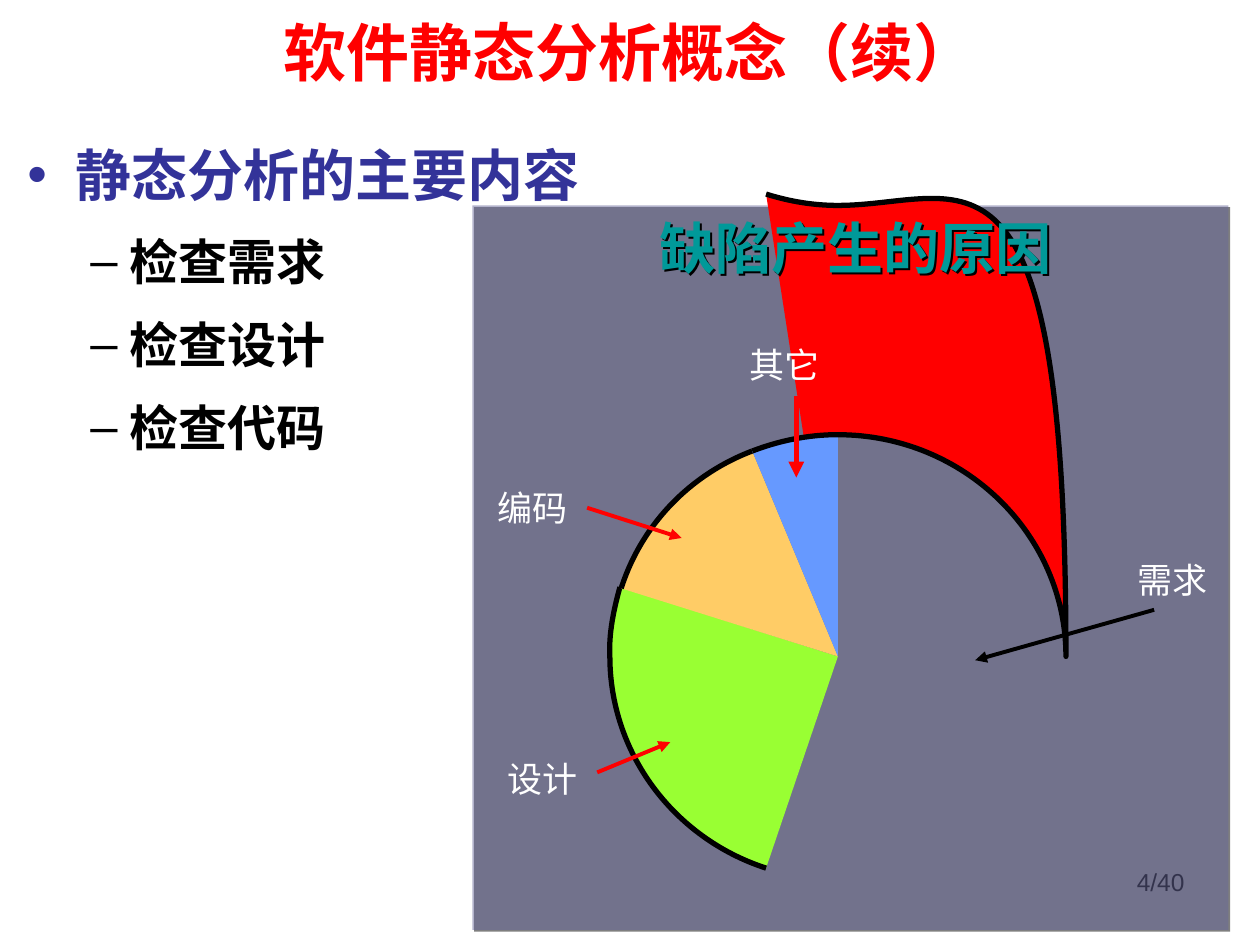
import dataclasses

import lxml.etree
import pptx
import pptx.dml.color
import pptx.enum.shapes
import pptx.enum.text
import pptx.oxml.ns
import pptx.util

Inches = pptx.util.Inches
Pt = pptx.util.Pt
Align = pptx.enum.text.PP_ALIGN
Anchor = pptx.enum.text.MSO_ANCHOR

HUES = {
    "black": "000000", "white": "FFFFFF", "red": "FF0000", "navy": "333399",
    "panel": "666699", "green": "99FF33", "amber": "FFCC66",
    "blue": "6699FF", "teal": "009999",
}
CENTRE = (6.65, 5.21)


@dataclasses.dataclass
class Slice:
    hue: str
    box: tuple  # left, top, width, height
    start: tuple
    curves: list  # each: two control points and an end point


@dataclasses.dataclass
class Label:
    text: str
    left: float
    top: float


@dataclasses.dataclass
class Arrow:
    start: tuple
    end: tuple
    hue: str = "red"
    width: float = 2.25


@dataclasses.dataclass
class Bullet:
    text: str
    mark: str
    size: float
    hue: str
    gap: float
    left: float
    hang: float


SLICES = [
    Slice("red", (6.08, 3.45, 2.38, 3.52), (6.65, 3.45), [
        ((7.65, 3.45), (8.46, 4.24), (8.46, 5.21)),
        ((8.46, 0.84), (7.65, 1.63), (6.65, 1.63)),
        ((6.46, 1.63), (6.27, 1.6), (6.08, 1.54))]),
    Slice("green", (4.84, 4.66, 1.81, 2.22), (6.08, 6.89), [
        ((5.34, 6.65), (4.84, 5.97), (4.84, 5.21)),
        ((4.83, 5.03), (4.87, 4.84), (4.92, 4.66))]),
    Slice("amber", (4.93, 3.58, 1.72, 1.63), (4.93, 4.67), [
        ((5.09, 4.17), (5.47, 3.77), (5.97, 3.58))]),
    Slice("blue", (5.97, 3.45, 0.68, 1.76), (5.97, 3.58), [
        ((6.18, 3.5), (6.41, 3.45), (6.65, 3.45))]),
]
LABELS = [Label("需求", 9.03, 4.38), Label("设计", 4.03, 5.96),
          Label("编码", 3.95, 3.81), Label("其它", 5.95, 2.68)]
ARROWS = [Arrow((6.32, 3.14), (6.32, 3.79), width=3),
          Arrow((9.16, 4.84), (7.74, 5.24), "black"),
          Arrow((4.74, 6.13), (5.32, 5.89)),
          Arrow((4.66, 4.03), (5.41, 4.27))]
BULLETS = [Bullet("静态分析的主要内容", "•", 32, "navy", 12, 0.38, 0.38)] + [
    Bullet(text, "–", 28, "black", 10.5, 0.81, 0.31)
    for text in ("检查需求", "检查设计", "检查代码")]


def rgb(hue: str):
    return pptx.dml.color.RGBColor.from_string(HUES[hue])


def add_node(host, tag: str, **attrs):
    node = lxml.etree.SubElement(host, pptx.oxml.ns.qn(tag))
    for key, value in attrs.items():
        node.set(key, str(value))
    return node


def add_shade(shape) -> None:
    """Add a hard black shadow down and to the right."""
    shape.shadow.inherit = False
    effects = shape._element.spPr.find(pptx.oxml.ns.qn("a:effectLst"))
    shade = add_node(effects, "a:outerShdw", blurRad=0, dist=Pt(1.4),
                     dir=45 * 60000, algn="ctr", rotWithShape=0)
    add_node(shade, "a:srgbClr", val=HUES["black"])


def style_run(run, size, hue, font="Arial", bold=False) -> None:
    run.font.size = Pt(size)
    run.font.name = font
    run.font.bold = bold
    run.font.color.rgb = rgb(hue)


def add_text(slide, text, left, top, width, height, *, size=20, hue="black",
             font="Arial", bold=False, align=Align.CENTER, anchor=Anchor.TOP,
             pad=(0.1, 0.05), wrap=True, gap=0, lead=1.0):
    box = slide.shapes.add_textbox(
        Inches(left), Inches(top), Inches(width), Inches(height))
    frame = box.text_frame
    frame.word_wrap = wrap
    frame.vertical_anchor = anchor
    frame.margin_left = frame.margin_right = Inches(pad[0])
    frame.margin_top = frame.margin_bottom = Inches(pad[1])
    para = frame.paragraphs[0]
    para.alignment = align
    para.line_spacing = lead
    para.space_before = Pt(gap)
    if text:
        run = para.add_run()
        run.text = text
        style_run(run, size, hue, font, bold)
    return box


def add_list(slide, items: list[Bullet]) -> None:
    frame = add_text(slide, "", 0.12, 1.01, 4.84, 3.16).text_frame
    for i, item in enumerate(items):
        para = frame.add_paragraph() if i else frame.paragraphs[0]
        para.alignment = Align.LEFT
        para.level = min(i, 1)
        para.line_spacing = 1.1
        para.space_before = Pt(item.gap)
        run = para.add_run()
        run.text = item.text
        style_run(run, item.size, item.hue, bold=True)
        props = para._p.get_or_add_pPr()
        props.set("marL", str(Inches(item.left)))
        props.set("indent", str(-Inches(item.hang)))
        tint = add_node(props, "a:buClr")
        add_node(tint, "a:srgbClr", val=HUES[item.hue])
        add_node(props, "a:buFont", typeface="Arial")
        add_node(props, "a:buChar", char=item.mark)


def add_panel(slide) -> None:
    panel = slide.shapes.add_shape(
        pptx.enum.shapes.MSO_SHAPE.RECTANGLE,
        Inches(3.75), Inches(1.63), Inches(6), Inches(5.75))
    panel.fill.solid()
    panel.fill.fore_color.rgb = rgb("panel")
    panel.line.fill.background()
    tint = panel._element.spPr.find(".//" + pptx.oxml.ns.qn("a:srgbClr"))
    add_node(tint, "a:alpha", val=50000)
    add_shade(panel)


def add_path(host, part: Slice, wedge: bool) -> None:
    """Add the open rim, or the wedge that runs on to the centre."""
    left, top, width, height = part.box
    mode = {"stroke": 0} if wedge else {"fill": "none"}
    route = add_node(host, "a:path", w=Inches(width), h=Inches(height), **mode)
    moves = [("a:moveTo", [part.start])]
    moves += [("a:cubicBezTo", curve) for curve in part.curves]
    if wedge:
        moves += [("a:lnTo", [CENTRE]), ("a:close", [])]
    for tag, dots in moves:
        move = add_node(route, tag)
        for x, y in dots:
            add_node(move, "a:pt", x=Inches(x - left), y=Inches(y - top))


def add_slice(slide, part: Slice) -> None:
    spots = [(Inches(x), Inches(y)) for x, y in
             [part.start, *(curve[-1] for curve in part.curves), CENTRE]]
    pen = slide.shapes.build_freeform(*spots[0])
    pen.add_line_segments(spots[1:])
    shape = pen.convert_to_shape()
    shape.left, shape.top, shape.width, shape.height = map(Inches, part.box)
    shape.shadow.inherit = False
    shape.fill.solid()
    shape.fill.fore_color.rgb = rgb(part.hue)
    shape.line.color.rgb = rgb("black")
    shape.line.width = Pt(3)
    # Curved outline: filled wedge without a line, rim without a fill
    routes = shape._element.spPr.find(".//" + pptx.oxml.ns.qn("a:pathLst"))
    for old in list(routes):
        routes.remove(old)
    for wedge in (True, False):
        add_path(routes, part, wedge)


def add_arrow(slide, arrow: Arrow) -> None:
    line = slide.shapes.add_connector(
        pptx.enum.shapes.MSO_CONNECTOR.STRAIGHT,
        *(Inches(n) for n in arrow.start + arrow.end))
    line.line.color.rgb = rgb(arrow.hue)
    line.line.width = Pt(arrow.width)
    add_node(line.line._get_or_add_ln(), "a:tailEnd", type="triangle")
    add_node(line._element.spPr, "a:effectLst")


def main() -> None:
    deck = pptx.Presentation()
    deck.slide_width, deck.slide_height = Inches(10), Inches(7.5)
    slide = deck.slides.add_slide(deck.slide_layouts[6])

    # Page number, title and list
    add_text(slide, "4/40", 7.17, 6.83, 2.33, 0.52, size=14, align=Align.RIGHT)
    add_text(slide, "软件静态分析概念（续）", 0.5, 0.05, 9, 0.71, size=36,
             hue="red", bold=True, anchor=Anchor.MIDDLE)
    add_list(slide, BULLETS)

    # Pie of causes
    add_panel(slide)
    for part in SLICES:
        add_slice(slide, part)
    for label in LABELS:
        add_text(slide, label.text, label.left, label.top, 0.56, 0.44,
                 hue="white", font="Arial Narrow", pad=(0, 0.05), wrap=False)
    for arrow in ARROWS:
        add_arrow(slide, arrow)

    # Pie heading, whose shadow falls from its letters
    head = add_text(slide, "缺陷产生的原因", 4.33, 1.55, 4.92, 0.95, size=32,
                    hue="teal", font="Arial Narrow", bold=True,
                    pad=(0.25, 0.25), gap=12, lead=0.85)
    add_shade(head)

    deck.save("out.pptx")


if __name__ == "__main__":
    main()
